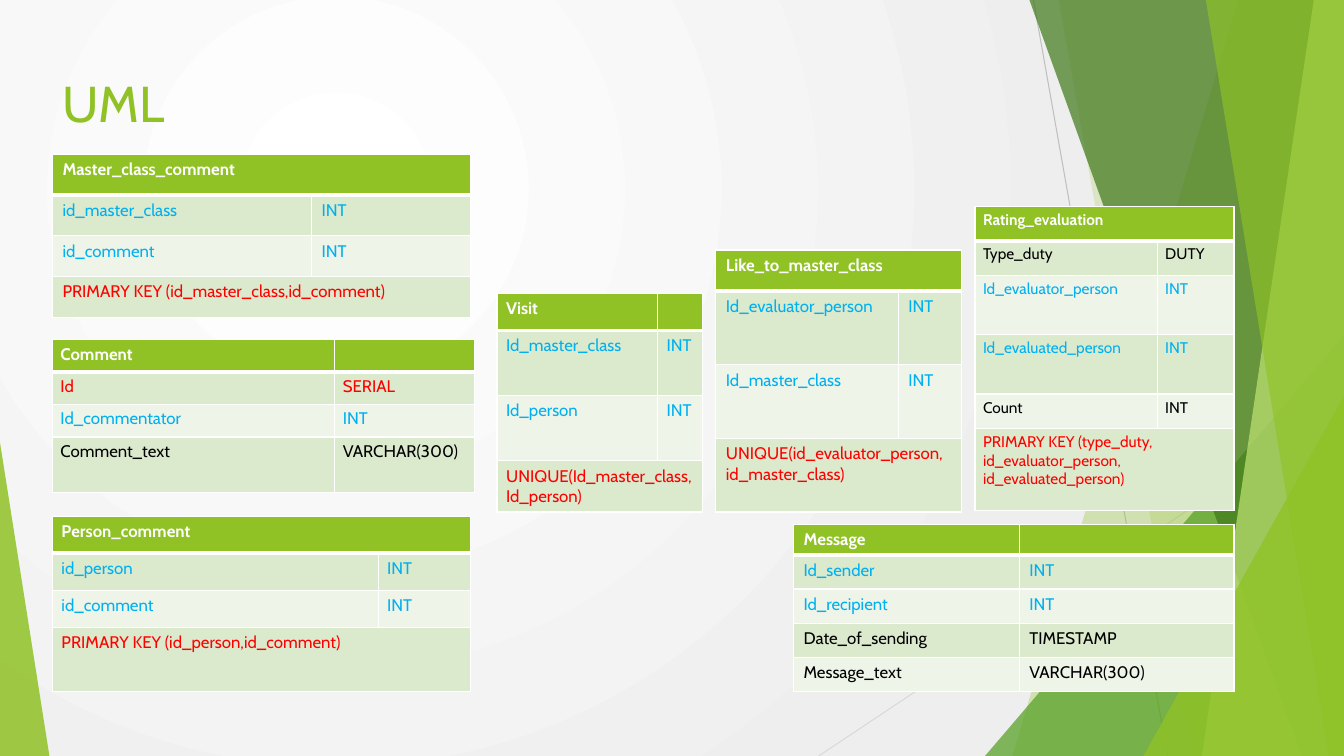
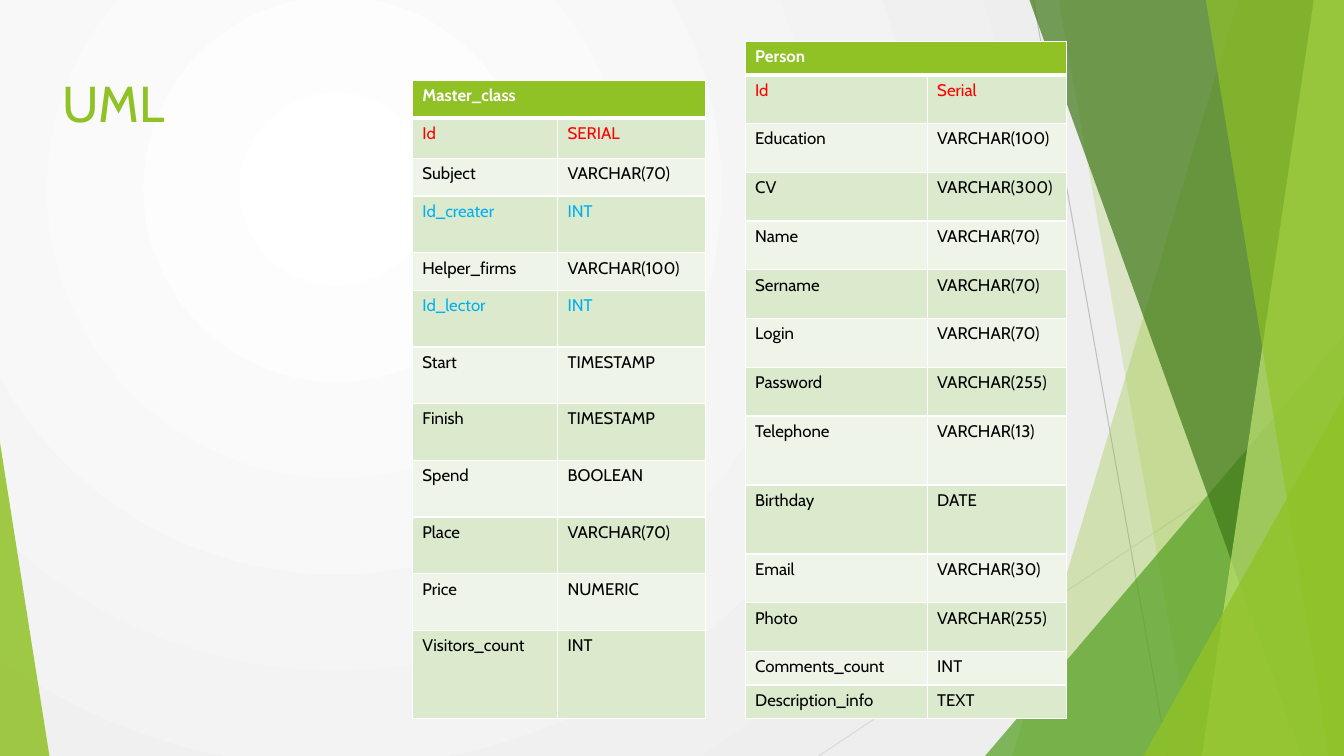
from lxml.etree import SubElement
from pptx import Presentation
from pptx.dml.color import RGBColor
from pptx.enum.shapes import MSO_CONNECTOR, MSO_SHAPE
from pptx.enum.text import MSO_ANCHOR, PP_ALIGN
from pptx.oxml.ns import qn
from pptx.util import Inches, Pt

WIDE, HIGH = 13.33, 7.5
FONT = "Cabin"
HUES = {
    "white": "FFFFFF", "fog": "EEEEEE", "ash": "BFBFBF", "mist": "D9D9D9",
    "lime": "90C226", "leaf": "54A021", "pine": "3F7819", "pale": "C0E474",
    "band": "DBE9CD", "light": "EEF4E8",
    "key": "FF0000", "ref": "00B0F0", "ink": "000000",
}


def hue(name):
    """Return the named colour."""
    return RGBColor.from_string(HUES[name])


def put(frame, words, size=12, tone="ink", bold=False):
    """Write words into a text frame with the given format."""
    para = frame.paragraphs[0]
    para.alignment = PP_ALIGN.LEFT
    if not words:
        SubElement(para._p, qn("a:endParaRPr"), sz=str(size * 100))
        return
    run = para.add_run()
    run.text = words
    font = run.font
    font.name, font.size, font.bold = FONT, Pt(size), bold
    font.color.rgb = hue(tone)


def edge(cell, **sides):
    """Draw white borders, each side given by its width in points."""
    props = cell._tc.get_or_add_tcPr()
    for side in "LRTB":
        line = SubElement(props, qn("a:ln" + side), w=str(Pt(sides.get(side, 1))))
        fill = SubElement(line, qn("a:solidFill"))
        SubElement(fill, qn("a:srgbClr"), val=HUES["white"])


class Deck:
    """Hold the shared style and the current slide."""

    def __init__(self):
        """Set the slide size and the round background."""
        self.show = Presentation()
        self.show.slide_width, self.show.slide_height = Inches(WIDE), Inches(HIGH)
        fill = self.show.slide_master.background.fill
        fill.gradient()
        for stop, name, spot in zip(fill.gradient_stops, ("white", "fog"), (0, 1)):
            stop.color.rgb, stop.position = hue(name), spot
        grad = self.show.slide_master._element.find(".//" + qn("a:gradFill"))
        grad.remove(grad.find(qn("a:lin")))
        round_fill = SubElement(grad, qn("a:path"), path="circle")
        SubElement(round_fill, qn("a:fillToRect"),
                   l="50000", t="50000", r="100000", b="100000")

    def page(self, title):
        """Start a slide with its backdrop and title."""
        self.slide = self.show.slides.add_slide(self.show.slide_layouts[5])
        self.back()
        head = self.slide.shapes.title
        head.left, head.top = Inches(0.52), Inches(0.67)
        head.width, head.height = Inches(9.4), Inches(1.44)
        head.text_frame.vertical_anchor = MSO_ANCHOR.TOP
        put(head.text_frame, title, size=36, tone="lime")

    def back(self):
        """Draw the green facets and thin lines."""
        self.line(10.25, 0, 11.58, HIGH, "ash")
        self.line(WIDE, 4.03, 8.12, HIGH, "mist")
        self.facet(12.28, 10.04, "lime", 30)
        self.facet(10.5, 11.83, "lime", 20)
        self.wedge(9.77, 3.33, 3.56, 1, "leaf", 72)
        self.facet(10.21, 12.91, "pine", 70)
        self.facet(13.03, 11.92, "pale", 70)
        self.facet(11.96, 13.18, "lime", 65)
        self.wedge(11.34, 3.93, 1.99, 1, "lime", 80)
        self.wedge(0, 4.39, 0.49, 0, "lime", 85)

    def line(self, left, top, right, low, tone):
        """Draw a thin straight line."""
        line = self.slide.shapes.add_connector(
            MSO_CONNECTOR.STRAIGHT, *map(Inches, (left, top, right, low)))
        line.line.color.rgb, line.line.width = hue(tone), Pt(0.75)
        SubElement(line._element.spPr, qn("a:effectLst"))

    def tint(self, shape, tone, alpha):
        """Fill a shape with a see-through colour and no outline."""
        shape.shadow.inherit = False
        shape.fill.solid()
        shape.fill.fore_color.rgb = hue(tone)
        shape.line.fill.background()
        mark = shape._element.spPr.find(".//" + qn("a:srgbClr"))
        SubElement(mark, qn("a:alpha"), val=str(alpha * 1000))

    def facet(self, top, low, tone, alpha):
        """Fill from a slanted edge to the right side of the slide."""
        spots = [(WIDE, 0), (WIDE, HIGH), (low, HIGH)]
        pen = self.slide.shapes.build_freeform(Inches(top), 0)
        pen.add_line_segments([(Inches(x), Inches(y)) for x, y in spots])
        self.tint(pen.convert_to_shape(), tone, alpha)

    def wedge(self, left, top, width, tip, tone, alpha):
        """Draw a triangle that stands on the bottom edge."""
        shape = self.slide.shapes.add_shape(
            MSO_SHAPE.ISOSCELES_TRIANGLE,
            *map(Inches, (left, top, width, HIGH - top)))
        shape.adjustments[0] = tip
        self.tint(shape, tone, alpha)

    def table(self, box, cols, rows, size=12, pad=(0.1, 0.05)):
        """Draw an entity; rows hold tone, height and one or two texts."""
        grid = self.slide.shapes.add_table(len(rows), 2, *map(Inches, box)).table
        grid.first_row = grid.horz_banding = False
        for col, part in zip(grid.columns, cols):
            col.width = Inches(box[2] * part / sum(cols))
        total = sum(row[1] for row in rows)
        for r, (tone, part, *words) in enumerate(rows):
            grid.rows[r].height = Inches(box[3] * part / total)
            if len(words) == 1:
                grid.cell(r, 0).merge(grid.cell(r, 1))
                words.append("")
            for c, word in enumerate(words):
                cell = grid.cell(r, c)
                edge(cell, T=3 if r == 1 else 1, B=1 if r else 3)
                cell.fill.solid()
                fill = ("light", "band")[r % 2] if r else "lime"
                cell.fill.fore_color.rgb = hue(fill)
                cell.margin_left = cell.margin_right = Inches(pad[0])
                cell.margin_top = cell.margin_bottom = Inches(pad[1])
                put(cell.text_frame, word, size=size, tone=tone, bold=r == 0)


SLIM, SNUG = (0.08, 0.04), (0.09, 0.05)
deck = Deck()

deck.page("UML")
deck.table((0.52, 3.37, 4.19, 1.52), (2.8, 1.39), [
    ("white", 0.32, "Comment", ""),
    ("key", 0.32, "Id", "SERIAL"),
    ("ref", 0.32, "Id_commentator", "INT"),
    ("ink", 0.55, "Comment_text", "VARCHAR(300)"),
], pad=SLIM)
deck.table((0.52, 1.53, 4.15, 1.62), (2.57, 1.58), [
    ("white", 0.41, "Master_class_comment"),
    ("ref", 0.41, "id_master_class", "INT"),
    ("ref", 0.41, "id_comment", "INT"),
    ("key", 0.41, "PRIMARY KEY (id_master_class,id_comment)"),
])
deck.table((0.52, 5.12, 4.15, 1.74), (3.23, 0.92), [
    ("white", 0.37, "Person_comment"),
    ("ref", 0.37, "id_person", "INT"),
    ("ref", 0.37, "id_comment", "INT"),
    ("key", 0.64, "PRIMARY KEY (id_person,id_comment)"),
], pad=SNUG)
deck.table((7.87, 5.2, 4.37, 1.66), (2.24, 2.13), [
    ("white", 0.3, "Message", ""),
    ("ref", 0.34, "Id_sender", "INT"),
    ("ref", 0.34, "Id_recipient", "INT"),
    ("ink", 0.34, "Date_of_sending", "TIMESTAMP"),
    ("ink", 0.34, "Message_text", "VARCHAR(300)"),
])
deck.table((4.93, 2.91, 2.04, 2.16), (1.6, 0.45), [
    ("white", 0.37, "Visit", ""),
    ("ref", 0.65, "Id_master_class", "INT"),
    ("ref", 0.65, "Id_person", "INT"),
    ("key", 0.5, "UNIQUE(Id_master_class, Id_person)"),
], pad=SNUG)
deck.table((7.1, 2.48, 2.44, 2.6), (1.81, 0.63), [
    ("white", 0.41, "Like_to_master_class"),
    ("ref", 0.73, "Id_evaluator_person", "INT"),
    ("ref", 0.73, "Id_master_class", "INT"),
    ("key", 0.73, "UNIQUE(id_evaluator_person, id_master_class)"),
])
deck.table((9.67, 2.05, 2.57, 3.02), (1.8, 0.76), [
    ("white", 0.34, "Rating_evaluation"),
    ("ink", 0.34, "Type_duty", "DUTY"),
    ("ref", 0.59, "Id_evaluator_person", "INT"),
    ("ref", 0.59, "Id_evaluated_person", "INT"),
    ("ink", 0.34, "Count", "INT"),
    ("key", 0.82,
     "PRIMARY KEY (type_duty, id_evaluator_person, id_evaluated_person)"),
], size=11, pad=SLIM)

deck.page("UML")
deck.table((7.39, 0.41, 3.19, 6.72), (1.8, 1.38), [
    ("white", 0.33, "Person"),
    ("key", 0.48, "Id", "Serial"),
    ("ink", 0.48, "Education", "VARCHAR(100)"),
    ("ink", 0.48, "CV", "VARCHAR(300)"),
    ("ink", 0.48, "Name", "VARCHAR(70)"),
    ("ink", 0.48, "Sername", "VARCHAR(70)"),
    ("ink", 0.48, "Login", "VARCHAR(70)"),
    ("ink", 0.48, "Password", "VARCHAR(255)"),
    ("ink", 0.68, "Telephone", "VARCHAR(13)"),
    ("ink", 0.68, "Birthday", "DATE"),
    ("ink", 0.48, "Email", "VARCHAR(30)"),
    ("ink", 0.48, "Photo", "VARCHAR(255)"),
    ("ink", 0.33, "Comments_count", "INT"),
    ("ink", 0.33, "Description_info", "TEXT"),
])
deck.table((4.09, 0.8, 2.91, 6.33), (1.44, 1.47), [
    ("white", 0.37, "Master_class"),
    ("key", 0.4, "Id", "SERIAL"),
    ("ink", 0.37, "Subject", "VARCHAR(70)"),
    ("ref", 0.56, "Id_creater", "INT"),
    ("ink", 0.37, "Helper_firms", "VARCHAR(100)"),
    ("ref", 0.56, "Id_lector", "INT"),
    ("ink", 0.56, "Start", "TIMESTAMP"),
    ("ink", 0.56, "Finish", "TIMESTAMP"),
    ("ink", 0.56, "Spend", "BOOLEAN"),
    ("ink", 0.56, "Place", "VARCHAR(70)"),
    ("ink", 0.56, "Price", "NUMERIC"),
    ("ink", 0.87, "Visitors_count", "INT"),
])

deck.show.save("out.pptx")
